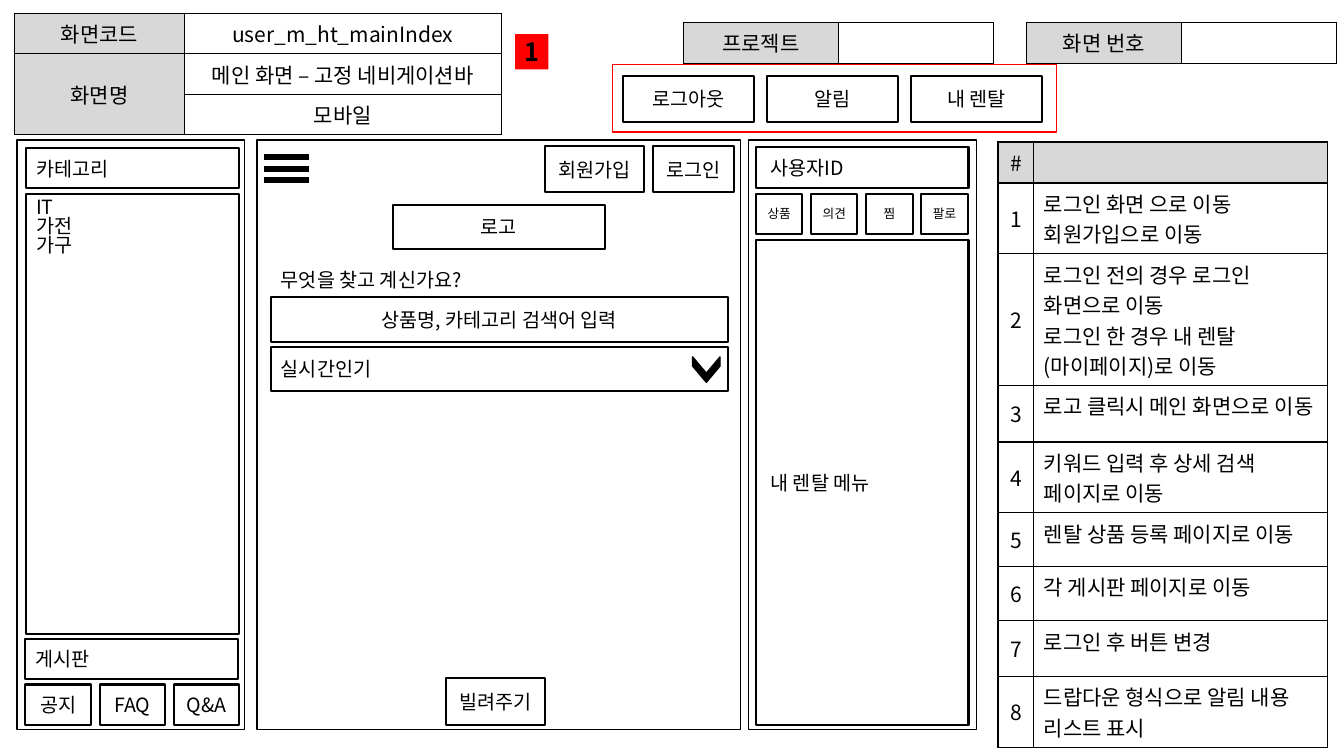
from lxml import etree
from pptx import Presentation
from pptx.dml.color import RGBColor
from pptx.enum.shapes import MSO_CONNECTOR, MSO_SHAPE
from pptx.enum.text import MSO_ANCHOR, PP_ALIGN
from pptx.oxml.ns import qn
from pptx.util import Cm, Pt

RECTANGLE, CHEVRON = MSO_SHAPE.RECTANGLE, MSO_SHAPE.CHEVRON
STRAIGHT = MSO_CONNECTOR.STRAIGHT
TOP, MIDDLE = MSO_ANCHOR.TOP, MSO_ANCHOR.MIDDLE
LEFT, CENTER = PP_ALIGN.LEFT, PP_ALIGN.CENTER

FONT = "Noto Sans CJK KR"
BLACK, WHITE, GRAY, RED = "000000", "FFFFFF", "D8D8D8", "FF0000"

NOTES = [
    (1.35, "로그인 화면 으로 이동\n회원가입으로 이동"),
    (1.24, "로그인 전의 경우 로그인 화면으로 이동\n로그인 한 경우 내 렌탈(마이페이지)로 이동"),
    (1.42, "로고 클릭시 메인 화면으로 이동"),
    (1.27, "키워드 입력 후 상세 검색 페이지로 이동"),
    (1.35, "렌탈 상품 등록 페이지로 이동"),
    (1.37, "각 게시판 페이지로 이동"),
    (1.4, "로그인 후 버튼 변경"),
    (1.4, "드랍다운 형식으로 알림 내용 리스트 표시"),
]


def rgb(color):
    return RGBColor.from_string(color)


class Wireframe:
    def __init__(self, slide):
        self.slide = slide

    def set_text(self, text_frame, text, size, align, bold=False, spacing=None):
        text_frame.text = text
        for paragraph in text_frame.paragraphs:
            paragraph.alignment = align
            paragraph.line_spacing = spacing
            for run in paragraph.runs:
                run.font.size = Pt(size)
                run.font.name = FONT
                run.font.bold = bold
                run.font.color.rgb = rgb(BLACK)
                # East Asian glyphs take their typeface from a separate element
                east_asian = etree.SubElement(run.font._element, qn("a:ea"))
                east_asian.set("typeface", FONT)

    def box(self, left, top, width, height, text="", size=14, align=CENTER,
            anchor=MIDDLE, line=BLACK, weight=1.5, fill=None, kind=RECTANGLE,
            inset=0.25, bold=False, spacing=None):
        shape = self.slide.shapes.add_shape(kind, Cm(left), Cm(top), Cm(width), Cm(height))
        shape.shadow.inherit = False
        if fill:
            shape.fill.solid()
            shape.fill.fore_color.rgb = rgb(fill)
        else:
            shape.fill.background()
        if line:
            shape.line.color.rgb = rgb(line)
            shape.line.width = Pt(weight)
        else:
            shape.line.fill.background()
        if text:
            shape.text_frame.vertical_anchor = anchor
            shape.text_frame.margin_left = Cm(inset)
            self.set_text(shape.text_frame, text, size, align, bold, spacing)
        return shape

    def box_row(self, left, top, width, height, step, labels, size=14):
        for index, label in enumerate(labels):
            self.box(left + index * step, top, width, height, label, size)

    def label(self, left, top, width, height, text):
        text_box = self.slide.shapes.add_textbox(Cm(left), Cm(top), Cm(width), Cm(height))
        text_box.text_frame.word_wrap = True
        text_box.text_frame.vertical_anchor = MIDDLE
        self.set_text(text_box.text_frame, text, 14, LEFT)

    def bar(self, left, top, width):
        line = self.slide.shapes.add_connector(
            STRAIGHT, Cm(left), Cm(top), Cm(left + width), Cm(top))
        line.line.color.rgb = rgb(BLACK)
        line.line.width = Pt(4.5)
        etree.SubElement(line._element.spPr, qn("a:effectLst"))

    def cell(self, cell, text, fill, align):
        properties = cell._tc.get_or_add_tcPr()
        for side in ("a:lnL", "a:lnR", "a:lnT", "a:lnB"):
            border = etree.SubElement(properties, qn(side), w=str(Pt(1)))
            solid = etree.SubElement(border, qn("a:solidFill"))
            etree.SubElement(solid, qn("a:srgbClr"), val=BLACK)
        cell.fill.solid()
        cell.fill.fore_color.rgb = rgb(fill)
        cell.vertical_anchor = TOP if align == LEFT else MIDDLE
        if text:
            self.set_text(cell.text_frame, text, 15, align)

    def table(self, left, top, widths, heights, rows, shaded, body_align=CENTER):
        """Draw a bordered table; shaded(row, column) tells which cells are gray."""
        table = self.slide.shapes.add_table(
            len(heights), len(widths), Cm(left), Cm(top),
            Cm(sum(widths)), Cm(sum(heights))).table
        table.first_row = table.horz_banding = False
        for column, width in zip(table.columns, widths):
            column.width = Cm(width)
        for row, height in zip(table.rows, heights):
            row.height = Cm(height)
        for r, texts in enumerate(rows):
            for c, text in enumerate(texts):
                self.cell(table.cell(r, c), text, GRAY if shaded(r, c) else WHITE,
                          body_align if c else CENTER)
        return table


def first_column(row, column):
    return column == 0


def header_row(row, column):
    return row == 0


def draw_headings(wireframe):
    screen = wireframe.table(
        0.36, 0.33, [4.29, 7.98], [0.89] * 3,
        [("화면코드", "user_m_ht_mainIndex"),
         ("화면명", "메인 화면 – 고정 네비게이션바"),
         ("", "모바일")], first_column)
    screen.cell(1, 0).merge(screen.cell(2, 0))
    for left, title in ((25.86, "화면 번호"), (17.22, "프로젝트")):
        wireframe.table(left, 0.56, [3.91, 3.91], [0.89], [(title, "")], first_column)
    wireframe.box(12.98, 0.86, 0.84, 0.89, "1", 18, line=None, fill=RED, bold=True)
    wireframe.box_row(15.7, 1.91, 3.3, 1.17, 3.63, ["로그아웃", "알림", "내 렌탈"])
    wireframe.box(15.44, 1.63, 11.18, 1.7, line=RED, weight=1)


def draw_notes(wireframe):
    rows = [("#", "")]
    rows += [(str(number), note) for number, (_, note) in enumerate(NOTES, 1)]
    heights = [0.91] + [height for height, _ in NOTES]
    wireframe.table(25.15, 3.58, [0.9, 7.4], heights, rows, header_row, LEFT)


def draw_panels(wireframe):
    for left, width in ((0.43, 5.74), (6.48, 12.19), (18.87, 5.74)):
        wireframe.box(left, 3.53, width, 14.86, weight=1)


def draw_category_panel(wireframe):
    wireframe.box(0.66, 3.73, 5.36, 1.02, "카테고리", align=LEFT)
    wireframe.box(0.66, 4.88, 5.36, 11.1, "IT\n가전\n가구", align=LEFT, anchor=TOP, spacing=0.82)
    wireframe.box(0.64, 16.1, 5.36, 1.02, "게시판", align=LEFT)
    wireframe.box_row(0.64, 17.25, 1.65, 1.02, 1.87, ["공지", "FAQ", "Q&A"])


def draw_main_panel(wireframe):
    for index in range(3):
        wireframe.bar(6.65, 3.96 + index * 0.29, 1.14)
    wireframe.box(13.74, 3.68, 2.49, 1.17, "회원가입")
    wireframe.box(16.46, 3.68, 2.03, 1.17, "로그인")
    wireframe.box(9.91, 5.16, 5.33, 1.12, "로고")
    wireframe.label(6.83, 6.48, 11.51, 1.12, "무엇을 찾고 계신가요?")
    wireframe.box(6.83, 7.49, 11.51, 1.12, "상품명, 카테고리 검색어 입력")
    wireframe.box(6.83, 8.74, 11.51, 1.12, "실시간인기", align=LEFT)
    arrow = wireframe.box(17.48, 8.97, 0.64, 0.69, weight=1, fill=BLACK, kind=CHEVRON)
    arrow.rotation = 90
    arrow.adjustments[0] = 0.64
    wireframe.box(11.25, 17.09, 2.49, 1.17, "빌려주기")


def draw_user_panel(wireframe):
    wireframe.box(19.05, 3.71, 5.36, 1.02, "사용자ID", align=LEFT, inset=0.37)
    wireframe.box_row(19.05, 4.88, 1.17, 1.02, 1.39, ["상품", "의견", "찜", "팔로"], 9)
    wireframe.box(19.05, 6.05, 5.36, 12.22, "내 렌탈 메뉴", align=LEFT, inset=0.37)


def main():
    presentation = Presentation()
    presentation.slide_width, presentation.slide_height = Cm(33.87), Cm(19.05)
    wireframe = Wireframe(presentation.slides.add_slide(presentation.slide_layouts[6]))
    draw_headings(wireframe)
    draw_notes(wireframe)
    draw_panels(wireframe)
    draw_category_panel(wireframe)
    draw_main_panel(wireframe)
    draw_user_panel(wireframe)
    presentation.save("out.pptx")


if __name__ == "__main__":
    main()
